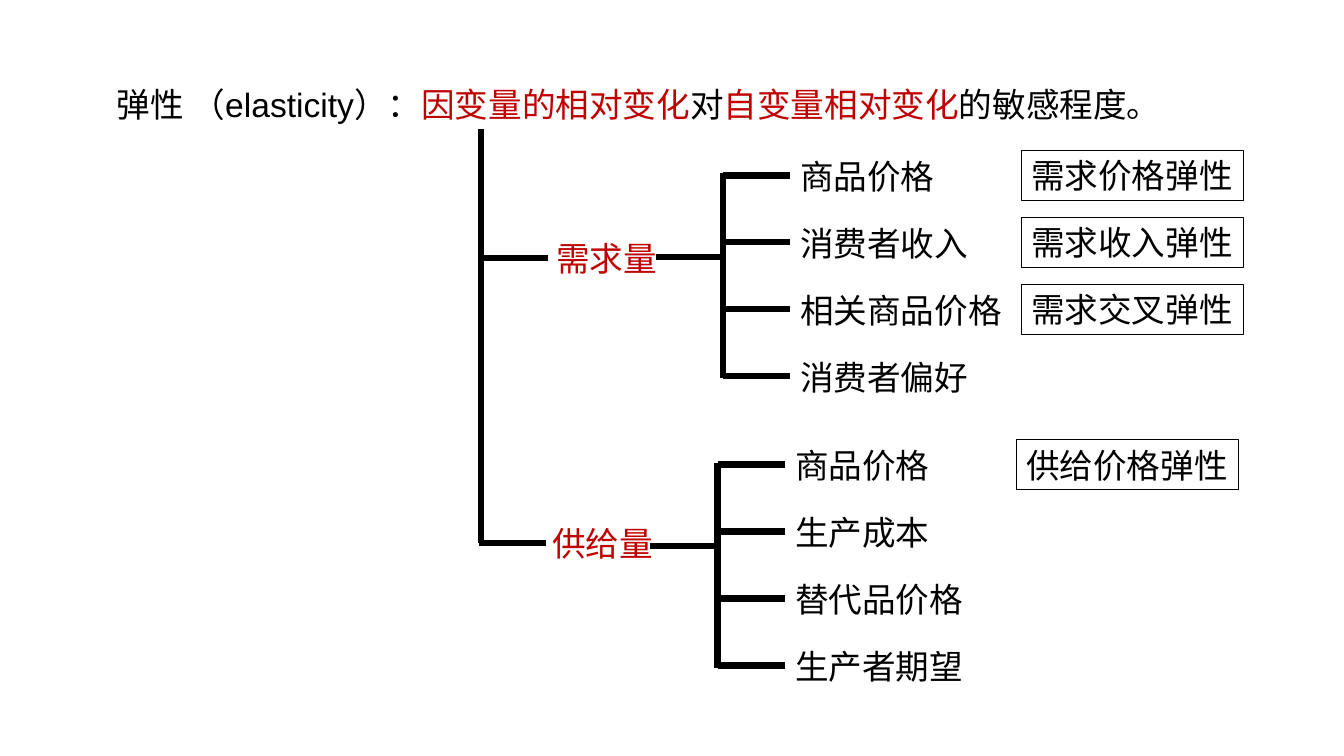
from lxml import etree
from pptx import Presentation
from pptx.dml.color import RGBColor
from pptx.enum.shapes import MSO_CONNECTOR, MSO_SHAPE
from pptx.enum.text import MSO_ANCHOR, PP_ALIGN
from pptx.oxml.ns import qn
from pptx.util import Pt

STRAIGHT, RECT = MSO_CONNECTOR.STRAIGHT, MSO_SHAPE.RECTANGLE
LEFT, TOP = PP_ALIGN.LEFT, MSO_ANCHOR.TOP
COLORS = {"black": "000000", "red": "C00000"}
SIZE, HEIGHT = 24, 36
TRUNK_X, STUB, PITCH = 343.5, 48.2, 47.8

prs = Presentation()
prs.slide_width, prs.slide_height = Pt(960), Pt(540)
s = prs.slides.add_slide(prs.slide_layouts[5])


def add_line(x1, y1, x2, y2):
    line = s.shapes.add_connector(STRAIGHT, Pt(x1), Pt(y1), Pt(x2), Pt(y2))
    line.line.color.rgb = RGBColor.from_string(COLORS["black"])
    line.line.width = Pt(4.5)
    etree.SubElement(line._element.spPr, qn("a:effectLst"))


def add_label(x, y, text, color="black", framed=False):
    """Add a one-line label whose width follows its number of characters."""
    place = Pt(x), Pt(y), Pt(SIZE * len(text) + 15), Pt(HEIGHT)
    if framed:
        sp = s.shapes.add_shape(RECT, *place)
        sp.shadow.inherit = False
        sp.fill.background()
        sp.line.color.rgb = RGBColor.from_string(COLORS["black"])
        sp.line.width = Pt(0.75)
    else:
        sp = s.shapes.add_textbox(*place)
    tf = sp.text_frame
    tf.word_wrap = False
    tf.vertical_anchor = TOP
    tf.text = text
    p = tf.paragraphs[0]
    p.alignment = LEFT
    p.font.size = Pt(SIZE)
    p.font.name = "Arial"
    p.font.color.rgb = RGBColor.from_string(COLORS[color])


# Definition
title = s.shapes.title
title.left, title.top, title.width, title.height = Pt(76.3), Pt(56.2), Pt(784), Pt(HEIGHT)
tf = title.text_frame
tf.word_wrap = False
tf.vertical_anchor = TOP
p = tf.paragraphs[0]
p.alignment = LEFT
for text, color in [
    ("弹性 （elasticity）：", "black"),
    ("因变量的相对变化", "red"),
    ("对", "black"),
    ("自变量相对变化", "red"),
    ("的敏感程度。", "black"),
]:
    r = p.add_run()
    r.text = text
    r.font.size = Pt(SIZE)
    r.font.name = "Arial"
    r.font.color.rgb = RGBColor.from_string(COLORS[color])

# Trunk, then each quantity with its factors and the elasticities they define
add_line(TRUNK_X, 92.2, TRUNK_X, 388.1)

branches = [
    # name, label x, label y, stub x, stub y, feeder x, feeder y, spine x, first stem y, factors
    ("需求量", 390.2, 166.3, TRUNK_X, 184.3, 468.7, 183.6, 516.2, 125.3,
     [("商品价格", "需求价格弹性"), ("消费者收入", "需求收入弹性"),
      ("相关商品价格", "需求交叉弹性"), ("消费者偏好", None)]),
    ("供给量", 387.4, 370.1, 342, 388.1, 464.4, 390.2, 512.6, 331.9,
     [("商品价格", "供给价格弹性"), ("生产成本", None),
      ("替代品价格", None), ("生产者期望", None)]),
]
for name, x, y, stub_x, stub_y, feed_x, feed_y, spine_x, stem_y, factors in branches:
    add_line(stub_x, stub_y, stub_x + STUB, stub_y)
    add_label(x, y, name, "red")
    add_line(feed_x, feed_y, spine_x, feed_y)
    add_line(spine_x, stem_y - 1.5, spine_x, stem_y + 3 * PITCH + 1.5)
    for i, (factor, elasticity) in enumerate(factors):
        row_y = stem_y + i * PITCH
        add_line(spine_x, row_y, spine_x + STUB, row_y)
        add_label(spine_x + STUB, row_y - 17.3, factor)
        if elasticity:
            add_label(spine_x + 213.2, row_y - 18, elasticity, framed=True)

prs.save("out.pptx")
